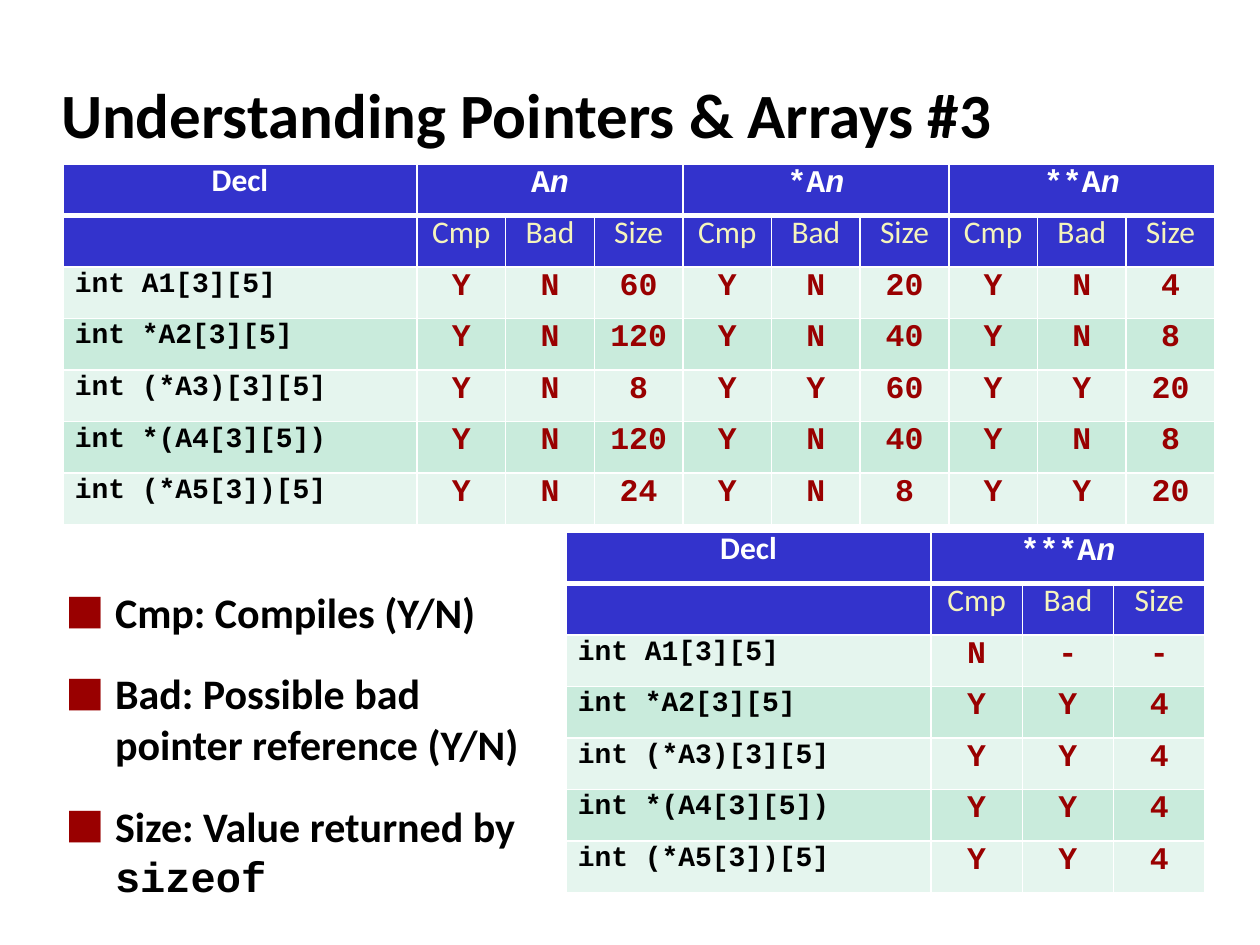
from dataclasses import dataclass

from lxml import etree
from pptx import Presentation, util as u
from pptx.dml.color import RGBColor
from pptx.enum import text
from pptx.oxml import ns

BLACK = RGBColor(0, 0, 0)
WHITE = RGBColor(255, 255, 255)
RED = RGBColor(0x99, 0, 0)
BLUE = RGBColor(0x33, 0x33, 0xCC)
CREAM = RGBColor(0xF5, 0xF4, 0xBC)
BANDS = (RGBColor(0xE5, 0xF5, 0xEE), RGBColor(0xC9, 0xEB, 0xDC))
SANS, MONO = "Calibri", "Courier New"
LEFT, MID = text.PP_ALIGN.LEFT, text.PP_ALIGN.CENTER
DECLS = ("int A1[3][5]", "int *A2[3][5]", "int (*A3)[3][5]",
         "int *(A4[3][5])", "int (*A5[3])[5]")
HEADS = ("Cmp", "Bad", "Size")


@dataclass
class Run:
    words: str
    size: int
    color: RGBColor
    font: str = SANS
    bold: bool = True
    italic: bool = False


@dataclass
class Grid:
    left: int
    top: int
    width: int
    high: int
    first: int    # width of the Decl column
    groups: list  # stars before each An
    rows: list    # values by declaration


GRIDS = [
    Grid(63, 164, 1152, 361, 354, ["", "*", "**"],
         ["Y N 60 Y N 20 Y N 4", "Y N 120 Y N 40 Y N 8",
          "Y N 8 Y Y 60 Y Y 20", "Y N 120 Y N 40 Y N 8",
          "Y N 24 Y N 8 Y Y 20"]),
    Grid(566, 532, 639, 361, 365, ["***"],
         ["N - -"] + ["Y Y 4"] * 4),
]
NOTES = [
    [Run("Cmp: Compiles (Y/N)", 24, BLACK)],
    [Run("Bad: Possible bad pointer reference (Y/N)", 24, BLACK)],
    [Run("Size: Value returned by ", 24, BLACK),
     Run("sizeof", 24, BLACK, MONO)],
]


def px(n: int) -> int:
    return u.Emu(n * 914400 // 126)


def write(para, runs: list) -> None:
    for item in runs:
        run = para.add_run()
        run.text = item.words
        font = run.font
        font.name, font.size = item.font, u.Pt(item.size)
        font.bold, font.italic = item.bold, item.italic
        font.color.rgb = item.color


def place(shape, left: int, top: int, width: int, high: int, inset: int):
    """Move a placeholder and return its text frame."""
    shape.left, shape.top = px(left), px(top)
    shape.width, shape.height = px(width), px(high)
    frame = shape.text_frame
    frame.margin_left = frame.margin_right = frame.margin_bottom = 0
    frame.margin_top = px(inset)
    frame.vertical_anchor = text.MSO_ANCHOR.TOP
    frame.auto_size = text.MSO_AUTO_SIZE.NONE
    frame.word_wrap = True
    return frame


def bullet(para) -> None:
    props = para._p.get_or_add_pPr()
    props.set("marL", str(px(48)))
    props.set("indent", str(-px(48)))
    color = etree.SubElement(props, ns.qn("a:buClr"))
    etree.SubElement(color, ns.qn("a:srgbClr"), val=str(RED))
    etree.SubElement(props, ns.qn("a:buSzPct"), val="87000")
    etree.SubElement(props, ns.qn("a:buFont"), typeface="Roboto")
    etree.SubElement(props, ns.qn("a:buChar"), char="⬛")


def edge(cell, row: int) -> None:
    """White cell borders, thick between the two header rows."""
    props = cell._tc.get_or_add_tcPr()
    thick = {"T": row == 1, "B": row == 0}
    for side in "LRTB":
        wide = u.Pt(3 if thick.get(side) else 1)
        line = etree.SubElement(props, ns.qn(f"a:ln{side}"), w=str(wide))
        fill = etree.SubElement(line, ns.qn("a:solidFill"))
        etree.SubElement(fill, ns.qn("a:srgbClr"), val=str(WHITE))


def put(cell, runs: list, align=MID) -> None:
    mono = runs[0].font == MONO
    cell.margin_top = px(2 if mono else 0)
    para = cell.text_frame.paragraphs[0]
    para.alignment = align
    if not mono:
        para.line_spacing = u.Pt(20.7)
    if align == LEFT:
        cell.margin_left = px(12)
    write(para, runs)


def draw(slide, grid: Grid) -> None:
    step = len(HEADS)
    count = step * len(grid.groups)
    deep = len(DECLS) + 2
    table = slide.shapes.add_table(
        deep, count + 1, px(grid.left), px(grid.top),
        px(grid.width), px(grid.high)).table
    for row in table.rows:
        row.height = px(grid.high) // deep
    for col in table.columns:
        col.width = px(grid.width - grid.first) // count
    table.columns[0].width = px(grid.first)

    # Fills and borders
    for r in range(deep):
        for c in range(count + 1):
            cell = table.cell(r, c)
            cell.margin_left = cell.margin_right = 0
            cell.margin_top = cell.margin_bottom = 0
            edge(cell, r)
            cell.fill.solid()
            cell.fill.fore_color.rgb = BLUE if r < 2 else BANDS[r % 2]

    # Headers
    put(table.cell(0, 0), [Run("Decl", 18, WHITE)])
    for g, stars in enumerate(grid.groups):
        start = 1 + g * step
        head = table.cell(0, start)
        head.merge(table.cell(0, start + step - 1))
        put(head, [Run(stars + "A", 18, WHITE, MONO),
                   Run("n", 18, WHITE, MONO, italic=True)])
        for c, name in enumerate(HEADS, start):
            put(table.cell(1, c), [Run(name, 18, CREAM, bold=False)])

    # Values
    for r, (decl, row) in enumerate(zip(DECLS, grid.rows), 2):
        put(table.cell(r, 0), [Run(decl, 16, BLACK, MONO)], LEFT)
        for c, value in enumerate(row.split(), 1):
            put(table.cell(r, c), [Run(value, 18, RED, MONO)])


def main() -> None:
    deck = Presentation()
    deck.slide_width, deck.slide_height = px(1260), px(945)
    slide = deck.slides.add_slide(deck.slide_layouts[1])

    # Title
    frame = place(slide.shapes.title, 61, 73, 933, 80, 3)
    para = frame.paragraphs[0]
    para.alignment = LEFT
    write(para, [Run("Understanding Pointers & Arrays #3", 36, BLACK)])

    # Legend
    frame = place(slide.placeholders[1], 67, 552, 454, 360, 34)
    for i, runs in enumerate(NOTES):
        para = frame.add_paragraph() if i else frame.paragraphs[0]
        bullet(para)
        para.space_before = u.Pt(18 if i else 0)
        write(para, runs)

    # Tables
    for grid in GRIDS:
        draw(slide, grid)
    deck.save("out.pptx")


if __name__ == "__main__":
    main()
